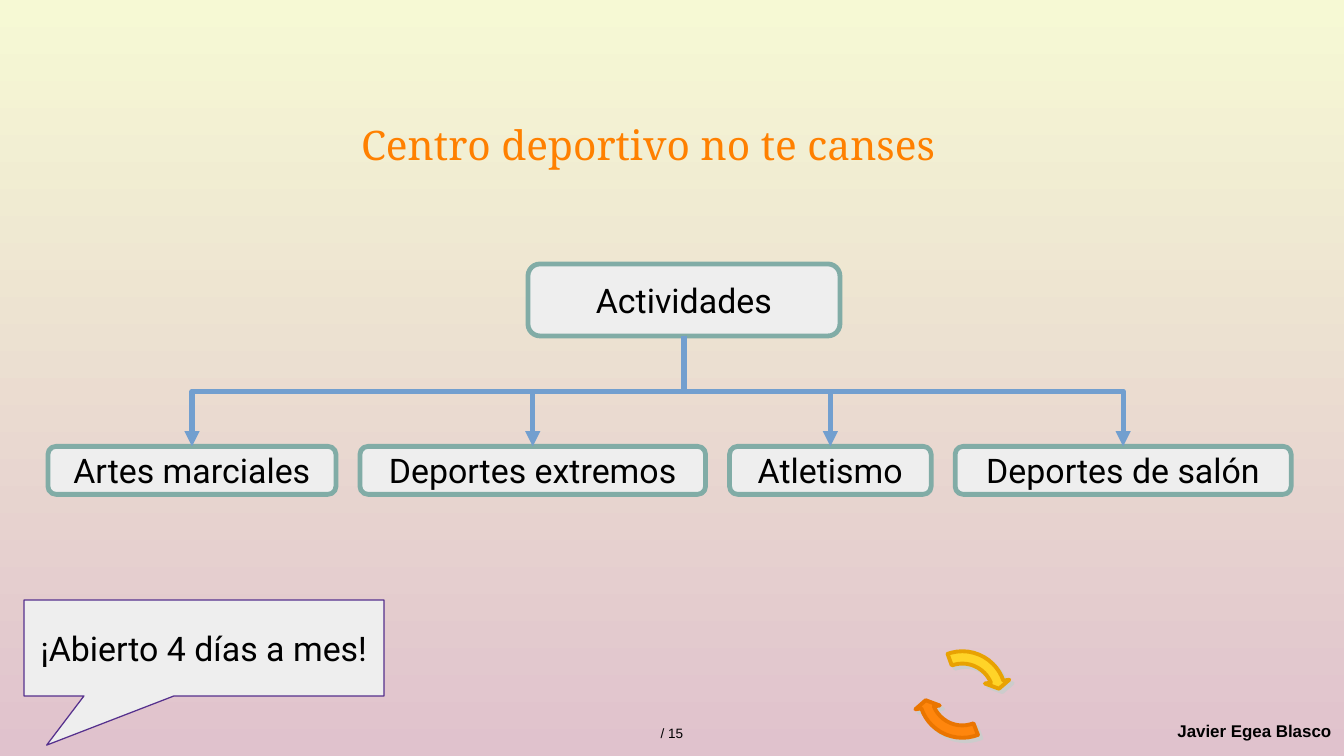
from lxml.etree import SubElement
from pptx import Presentation
from pptx.dml.color import RGBColor
from pptx.enum.shapes import MSO_CONNECTOR, MSO_SHAPE
from pptx.enum.text import MSO_ANCHOR, PP_ALIGN
from pptx.oxml.ns import qn
from pptx.util import Cm, Pt

COLUMNS, ROWS = 28, 15.75


def color(hex_code):
    return RGBColor.from_string(hex_code)


class ActivitySlide:
    """Places elements on a grid of 28 columns by 15.75 rows, one centimetre each."""

    INK, PANEL, BORDER, LINK = "000000", "EEEEEE", "81ACA6", "729FCF"
    BODY_FONT, BODY_SIZE = "Roboto", 20

    def __init__(self, presentation):
        self.slide = presentation.slides.add_slide(presentation.slide_layouts[6])
        self.shapes = self.slide.shapes

    def background(self, top, bottom):
        fill = self.slide.background.fill
        fill.gradient()
        fill.gradient_angle = 270
        for stop, shade in zip(fill.gradient_stops, (top, bottom)):
            stop.color.rgb = color(shade)

    def set_text(self, shape, words, font, size, ink=INK, bold=False, align=PP_ALIGN.CENTER):
        frame = shape.text_frame
        frame.vertical_anchor = MSO_ANCHOR.MIDDLE
        paragraph = frame.paragraphs[0]
        paragraph.text = words
        paragraph.alignment = align
        paragraph.font.name = font
        paragraph.font.size = Pt(size)
        paragraph.font.bold = bold
        paragraph.font.color.rgb = color(ink)

    def label(self, area, words, font, size, **style):
        box = self.shapes.add_textbox(*map(Cm, area))
        box.text_frame.word_wrap = False
        self.set_text(box, words, font, size, **style)

    def outline(self, kind, area, fill, border, weight, adjustments, shapes=None):
        shape = (shapes or self.shapes).add_shape(kind, *map(Cm, area))
        shape.shadow.inherit = False
        shape.fill.solid()
        shape.fill.fore_color.rgb = color(fill)
        shape.line.color.rgb = color(border)
        shape.line.width = Pt(weight)
        for index, value in enumerate(adjustments):
            shape.adjustments[index] = value
        return shape

    def activity(self, area, words):
        box = self.outline(MSO_SHAPE.ROUNDED_RECTANGLE, area, self.PANEL, self.BORDER, 2.83, [0.167])
        self.set_text(box, words, self.BODY_FONT, self.BODY_SIZE)
        return box

    def callout(self, area, words, tip):
        bubble = self.outline(MSO_SHAPE.RECTANGULAR_CALLOUT, area, self.PANEL, "55308D", 0, tip)
        frame = bubble.text_frame
        frame.margin_left = frame.margin_right = Cm(0.2)
        frame.margin_top = frame.margin_bottom = Cm(0.08)
        self.set_text(bubble, words, self.BODY_FONT, self.BODY_SIZE)

    def branch(self, parent, child):
        """Elbow arrow that leaves the parent downwards; a quarter turn makes it vertical."""
        start_x, start_y = parent.left + parent.width // 2, parent.top + parent.height
        end_x, end_y = child.left + child.width // 2, child.top
        middle_x, middle_y = (start_x + end_x) // 2, (start_y + end_y) // 2
        half_drop, half_reach = (end_y - start_y) // 2, abs(end_x - start_x) // 2
        side = 1 if end_x < start_x else -1
        arrow = self.shapes.add_connector(
            MSO_CONNECTOR.ELBOW,
            middle_x - side * half_drop, middle_y - half_reach,
            middle_x + side * half_drop, middle_y + half_reach)
        arrow.line.color.rgb = color(self.LINK)
        arrow.line.width = Pt(3)
        properties = arrow._element.spPr
        properties.find(qn("a:xfrm")).set("rot", str((90 if side > 0 else 270) * 60000))
        SubElement(properties.find(qn("a:ln")), qn("a:tailEnd"), type="triangle")
        SubElement(properties, qn("a:effectLst"))

    def cycle(self, area, arrows):
        """Ring of circular arrows, each given as fill, border, start angle and flip."""
        ring = self.shapes.add_group_shape().shapes
        for fill, border, start_angle, flipped in arrows:
            angles = [degrees * 0.6 for degrees in (11.42, 204.58, start_angle)]
            arrow = self.outline(MSO_SHAPE.CIRCULAR_ARROW, area, fill, border, 2.3,
                                 [0.125, *angles, 0.125], ring)
            arrow.rotation = 315.1
            properties = arrow._element.spPr
            if flipped:
                frame = properties.find(qn("a:xfrm"))
                frame.set("flipH", "1")
                frame.set("flipV", "1")
            shadow = SubElement(properties.find(qn("a:effectLst")), qn("a:outerShdw"),
                                dist=str(Pt(2.8)), dir=str(45 * 60000), rotWithShape="0")
            SubElement(shadow, qn("a:srgbClr"), val="CCCCCC")


def main():
    presentation = Presentation()
    presentation.slide_width, presentation.slide_height = Cm(COLUMNS), Cm(ROWS)
    page = ActivitySlide(presentation)
    page.background("F6F9D4", "E0C2CD")
    page.label((1, 1, 25, 4), "Centro deportivo no te canses", "Noto Serif", 24, ink="FF8000")
    page.callout((0.5, 12.5, 7.5, 2), "¡Abierto 4 días a mes!", [-0.437, 1.013])

    root = page.activity((11, 5.5, 6.5, 1.5), "Actividades")
    left, gap = 1, 0.5
    children = []
    for words, width in (("Artes marciales", 6), ("Deportes extremos", 7.2),
                         ("Atletismo", 4.2), ("Deportes de salón", 7)):
        children.append(page.activity((left, 9.3, width, 1), words))
        left += width + gap
    for child in children:
        page.branch(root, child)

    page.label((24.28, 14.76, 3.72, 0.94), "Javier Egea Blasco", "Arial", 10,
               bold=True, align=PP_ALIGN.LEFT)
    page.label((12.07, 14.81, 3.86, 0.94), "/ 15", "Arial", 8)
    page.cycle((19.02, 13.44, 2.06, 2.06), (("FF860D", "EA7500", 113.73, False),
                                            ("FFD428", "E8A202", 114.87, True)))
    presentation.save("out.pptx")


if __name__ == "__main__":
    main()
